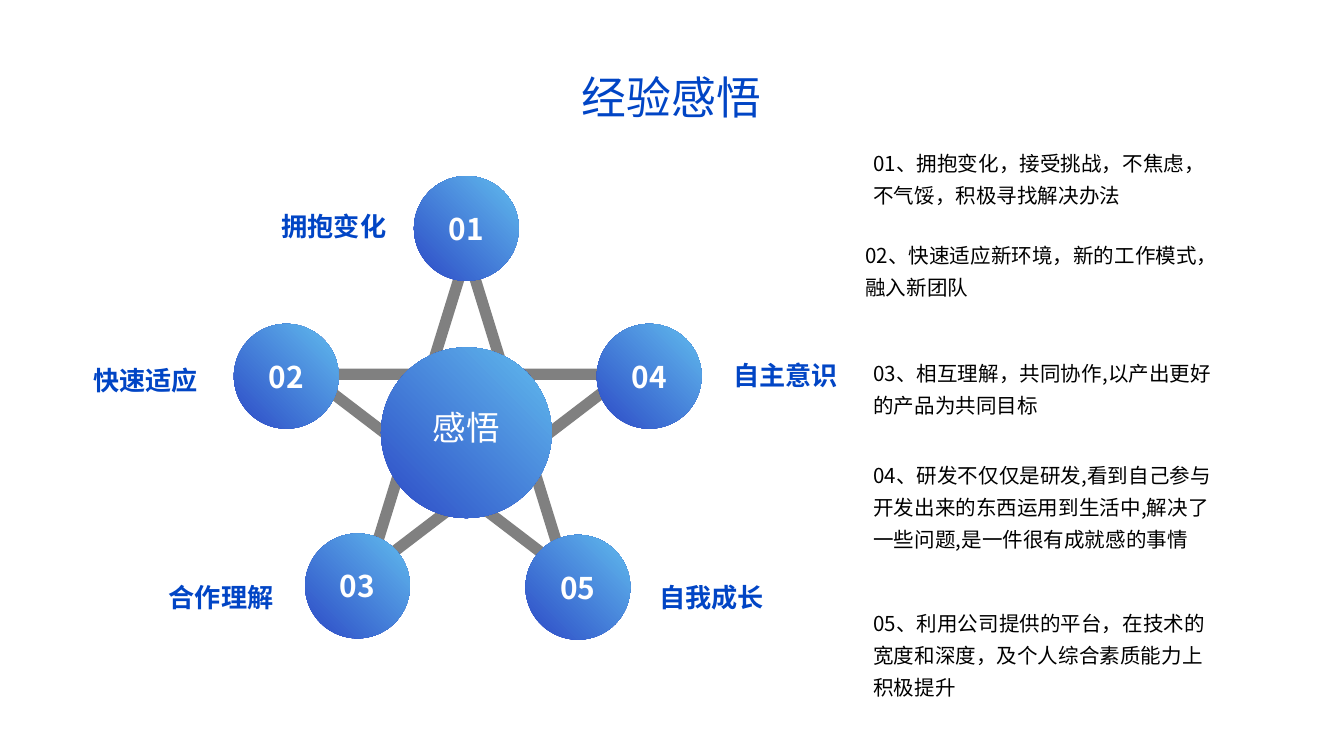
from lxml.etree import SubElement
from pptx import Presentation
from pptx.dml.color import RGBColor
from pptx.enum.shapes import MSO_SHAPE
from pptx.enum.text import MSO_ANCHOR, PP_ALIGN
from pptx.oxml.ns import qn
from pptx.util import Inches, Pt

THEME = {
    "blue": RGBColor.from_string("0145C5"),
    "dark": RGBColor.from_string("2C4AC6"),
    "light": RGBColor.from_string("62BCEE"),
    "gray": RGBColor.from_string("808080"),
    "white": RGBColor.from_string("FFFFFF"),
    "black": RGBColor.from_string("000000"),
    "sans": "Noto Sans CJK SC",
    "latin": "Calibri",
    "title": Pt(24), "core": Pt(18), "number": Pt(16),
    "label": Pt(14), "note": Pt(11), "lead": Pt(17.2),
}

deck = Presentation()
deck.slide_width = Inches(10)
deck.slide_height = deck.slide_width * 9 // 16
slide = deck.slides.add_slide(deck.slide_layouts[5])
shapes = slide.shapes
UNIT = deck.slide_width / 100  # the grid has 100 columns, with square cells


def grid(*cells):
    return [round(cell * UNIT) for cell in cells]


def write(shape, text, size, color, face="sans", bold=False, wrap=True,
          align=PP_ALIGN.CENTER, anchor=MSO_ANCHOR.MIDDLE, lead=None):
    """Fill a shape with one formatted paragraph."""
    frame = shape.text_frame
    frame.text = text
    para = frame.paragraphs[0]
    run = para.runs[0]
    formats = (
        (frame, {"word_wrap": wrap, "vertical_anchor": anchor}),
        (para, {"alignment": align, "line_spacing": lead}),
        (run.font, {"size": THEME[size], "bold": bold, "name": THEME[face]}),
        (run.font.color, {"rgb": THEME[color]}),
    )
    for part, values in formats:
        for name, value in values.items():
            setattr(part, name, value)
    east = SubElement(run.font._element, qn("a:ea"))
    east.set("typeface", THEME["sans"])


# Title
title = shapes.title
title.left, title.top, title.width, title.height = grid(42.2, 4, 15.5, 6.4)
write(title, "经验感悟", "title", "blue", wrap=False)

# Star behind the circles
star = shapes.add_shape(MSO_SHAPE.STAR_5_POINT, *grid(22.9, 18.8, 23.7, 23.7))
star.shadow.inherit = False
star.fill.background()
star.line.color.rgb = THEME["gray"]
star.line.width = Pt(6)

# Circles: text, centre column, centre row, diameter, type size, text lift
balls = [
    ("感悟", 34.7, 32.2, 12.7, "core", 0.8),
    ("01", 34.7, 17, 7.8, "number", 0),
    ("02", 21.3, 28, 7.8, "number", 0),
    ("03", 26.6, 43.6, 7.8, "number", 0),
    ("04", 48.3, 28, 7.8, "number", 0),
    ("05", 43, 43.7, 7.8, "number", 0),
]
for text, col, row, size, kind, lift in balls:
    ball = shapes.add_shape(
        MSO_SHAPE.OVAL, *grid(col - size / 2, row - size / 2, size, size))
    ball.shadow.inherit = False
    ball.line.fill.background()
    ball.fill.gradient()
    ball.fill.gradient_angle = 45
    for stop, tint in zip(ball.fill.gradient_stops, ("dark", "light")):
        stop.color.rgb = THEME[tint]
        stop.position = 0 if tint == "dark" else 1
    write(ball, text, kind, "white", bold=kind == "number")
    ball.text_frame.margin_bottom += round(lift * UNIT)

# Labels beside the circles
labels = [
    ("拥抱变化", 19.9, 15.1),
    ("快速适应", 5.9, 26.6),
    ("合作理解", 11.5, 42.7),
    ("自主意识", 53.5, 26.2),
    ("自我成长", 48, 42.7),
]
for text, col, row in labels:
    label = shapes.add_textbox(*grid(col, row, 9.9, 3.4))
    write(label, text, "label", "blue", face="latin", bold=True, wrap=False)

# Notes on the right
notes = [
    ("01、拥抱变化，接受挑战，不焦虑，不气馁，积极寻找解决办法", 64, 10.2, 8),
    ("02、快速适应新环境，新的工作模式，融入新团队", 63.4, 17, 8),
    ("03、相互理解，共同协作,以产出更好的产品为共同目标", 64, 25.8, 8),
    ("04、研发不仅仅是研发,看到自己参与开发出来的东西运用到生活中,"
     "解决了一些问题,是一件很有成就感的事情", 64, 33.4, 12.8),
    ("05、利用公司提供的平台，在技术的宽度和深度，及个人综合素质能力上 "
     "积极提升", 64, 44.4, 11.8),
]
for text, col, row, tall in notes:
    note = shapes.add_textbox(*grid(col, row, 27.7, tall))
    write(note, text, "note", "black", align=PP_ALIGN.LEFT,
          anchor=MSO_ANCHOR.TOP, lead=THEME["lead"])

deck.save("out.pptx")
